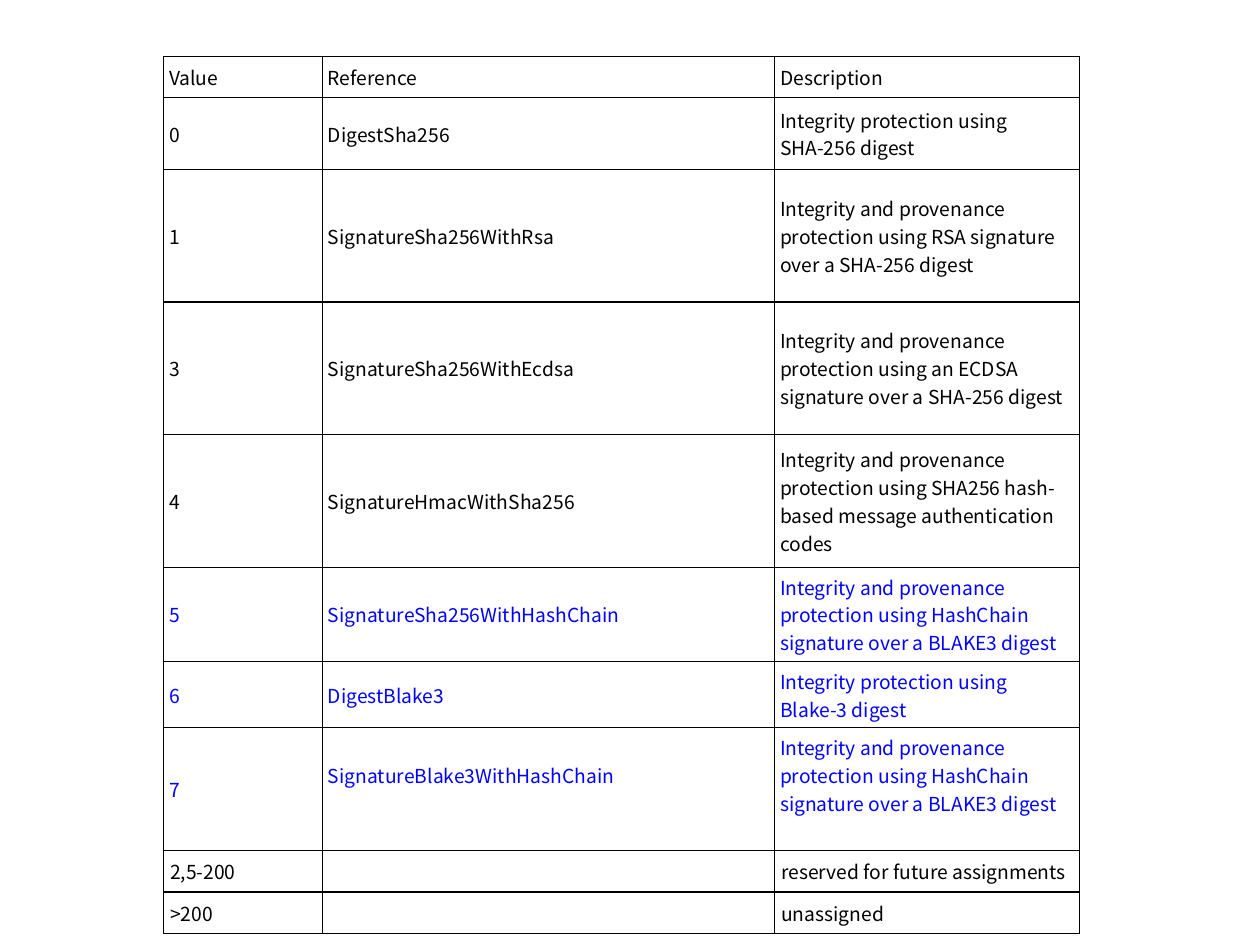
import pptx
import pptx.util
import pptx.dml.color
import pptx.enum.text
import pptx.oxml.ns
import lxml.etree

Pt = pptx.util.Pt
FONT, SIZE = "Noto Sans CJK KR", 11
BLACK, BLUE, WHITE = "000000", "0000FF", "FFFFFF"
INSET, WIDE_INSET, RAISED = 3, 3.6, 19

# Content: row height, text colour, inset, cell texts
PROVENANCE = "Integrity and provenance protection using "
HASH_CHAIN = PROVENANCE + "HashChain signature over a BLAKE3 digest"
signature_types = [
    (23.6, BLACK, INSET, ("Value", "Reference", "Description")),
    (41, BLACK, INSET, ("0", "DigestSha256", "Integrity protection using SHA-256 digest")),
    (75.8, BLACK, INSET, ("1", "SignatureSha256WithRsa",
                          PROVENANCE + "RSA signature over a SHA-256 digest")),
    (75.8, BLACK, INSET, ("3", "SignatureSha256WithEcdsa",
                          PROVENANCE + "an ECDSA signature over a SHA-256 digest")),
    (75.8, BLACK, INSET, ("4", "SignatureHmacWithSha256",
                          PROVENANCE + "SHA256 hash-based message authentication codes")),
    (53.8, BLUE, INSET, ("5", "SignatureSha256WithHashChain\u00a0", HASH_CHAIN)),
    (37.8, BLUE, INSET, ("6", "DigestBlake3", "Integrity protection using Blake-3 digest")),
    (70.2, BLUE, INSET, ("7", "SignatureBlake3WithHashChain\u00a0", HASH_CHAIN)),
    (23.6, BLACK, WIDE_INSET, ("2,5-200", "", "reserved for future assignments")),
    (23.6, BLACK, WIDE_INSET, (">200", "", "unassigned")),
]
raised_cells = {(7, 1), (7, 2)}
column_widths = [90.8, 258.4, 174.2]
LEFT, TOP = 93.6, 32.2


def colour(value):
    return pptx.dml.color.RGBColor.from_string(value)


def add_borders(cell):
    properties = cell._tc.get_or_add_tcPr()
    for side in ("lnL", "lnR", "lnT", "lnB"):
        border = lxml.etree.SubElement(properties, pptx.oxml.ns.qn("a:" + side), w=str(Pt(0.75)))
        fill = lxml.etree.SubElement(border, pptx.oxml.ns.qn("a:solidFill"))
        lxml.etree.SubElement(fill, pptx.oxml.ns.qn("a:srgbClr"), val=BLACK)


def write_text(cell, text, text_colour):
    paragraph = cell.text_frame.paragraphs[0]
    if not text:
        # Keeps an empty cell from growing to the default text size
        lxml.etree.SubElement(paragraph._p, pptx.oxml.ns.qn("a:endParaRPr"), sz=str(SIZE * 100))
        return
    run = paragraph.add_run()
    run.text = text
    run.font.name = FONT
    run.font.size = Pt(SIZE)
    run.font.color.rgb = colour(text_colour)


# Slide
presentation = pptx.Presentation()
presentation.slide_width, presentation.slide_height = Pt(720), Pt(540)
slide = presentation.slides.add_slide(presentation.slide_layouts[6])

# Table of signature types
heights = [row[0] for row in signature_types]
table = slide.shapes.add_table(len(heights), len(column_widths), Pt(LEFT), Pt(TOP),
                               Pt(sum(column_widths)), Pt(sum(heights))).table
table.first_row = table.horz_banding = False
for column, width in zip(table.columns, column_widths):
    column.width = Pt(width)

for r, (height, text_colour, inset, texts) in enumerate(signature_types):
    table.rows[r].height = Pt(height)
    for c, text in enumerate(texts):
        cell = table.cell(r, c)
        cell.margin_left = cell.margin_right = cell.margin_top = Pt(inset)
        cell.margin_bottom = Pt(RAISED if (r, c) in raised_cells else inset)
        cell.vertical_anchor = pptx.enum.text.MSO_ANCHOR.MIDDLE
        add_borders(cell)
        cell.fill.solid()
        cell.fill.fore_color.rgb = colour(WHITE)
        write_text(cell, text, text_colour)

presentation.save("out.pptx")
